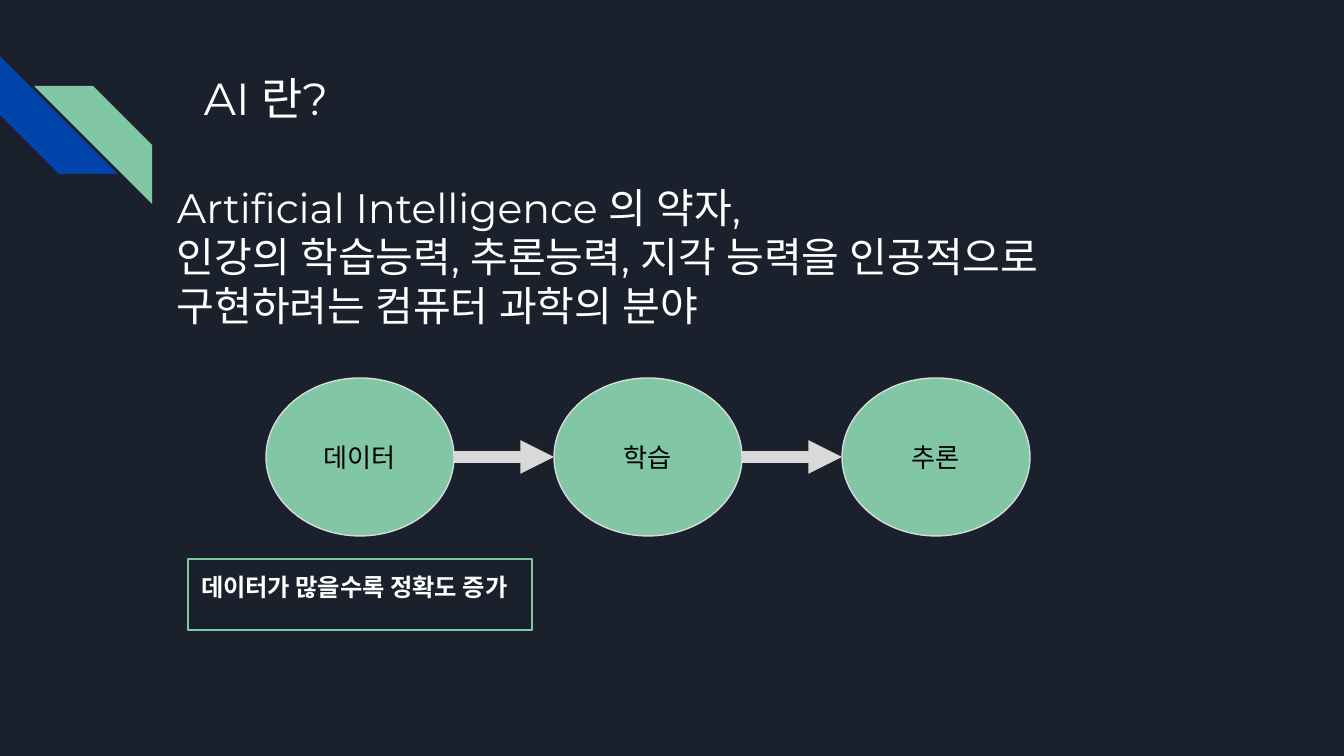
from lxml.etree import SubElement
from pptx import Presentation
from pptx.dml.color import RGBColor
from pptx.enum.shapes import MSO_CONNECTOR, MSO_SHAPE
from pptx.enum.text import MSO_ANCHOR, PP_ALIGN
from pptx.oxml.ns import qn
from pptx.util import Pt

NAVY, BLUE, GREEN = "1B212C", "0145AC", "82C7A5"
GREY, WHITE, BLACK = "D9D9D9", "FFFFFF", "000000"

STRIPES = [((0, 56), 270, BLUE), ((34, 86), 90, GREEN)]
STRIPE_SIZE = 118
TITLE = ["AI 란?"]
BODY = [
    "Artificial Intelligence 의 약자,",
    "인강의 학습능력, 추론능력, 지각 능력을 인공적으로 구현하려는 컴퓨터 과학의 분야",
]
STEPS = ["데이터", "학습", "추론"]
STEP_LEFT, STEP_TOP, STEP_WIDTH, STEP_HEIGHT, STEP_PITCH = 266, 378, 188, 158, 288
NOTE = ["데이터가 많을수록 정확도 증가"]

SCALE = 914400 / 134.4


def px(length):
    """Turn px into EMU."""
    return round(length * SCALE)


def color(value):
    """Turn a hex string into a colour."""
    return RGBColor.from_string(value)


def write(shape, lines, size, font_name, ink, bold=False,
          align=PP_ALIGN.LEFT, anchor=MSO_ANCHOR.TOP):
    """Fill the shape with one paragraph per line."""
    frame = shape.text_frame
    frame.word_wrap = True
    frame.vertical_anchor = anchor
    frame.margin_left = frame.margin_right = px(13)
    frame.margin_top = frame.margin_bottom = px(13)
    for index, line in enumerate(lines):
        paragraph = frame.add_paragraph() if index else frame.paragraphs[0]
        paragraph.alignment = align
        run = paragraph.add_run()
        run.text = line
        font = run.font
        font.size, font.bold, font.name = Pt(size), bold, font_name
        font.color.rgb = color(ink)
        SubElement(run._r.get_or_add_rPr(), qn("a:ea")).set("typeface", font_name)


def add_text(slide, box, lines, size):
    """Add a white Montserrat text box."""
    write(slide.shapes.add_textbox(*map(px, box)), lines, size, "Montserrat", WHITE)


def add_preset(slide, kind, box, fill=None, outline=None):
    """Add a flat preset shape."""
    shape = slide.shapes.add_shape(kind, *map(px, box))
    shape.shadow.inherit = False
    if fill:
        shape.fill.solid()
        shape.fill.fore_color.rgb = color(fill)
    else:
        shape.fill.background()
    if outline:
        shape.line.color.rgb = color(outline)
        shape.line.width = Pt(0.75)
    else:
        shape.line.fill.background()
    return shape


def add_arrow(slide, start, end, y):
    """Add a thick horizontal arrow."""
    arrow = slide.shapes.add_connector(
        MSO_CONNECTOR.STRAIGHT, px(start), px(y), px(end), px(y))
    arrow.line.color.rgb = color(GREY)
    arrow.line.width = Pt(6)
    SubElement(arrow.line._get_or_add_ln(), qn("a:tailEnd")).set("type", "triangle")
    SubElement(arrow._element.spPr, qn("a:effectLst"))


def main():
    """Build and save the slide."""
    presentation = Presentation()
    presentation.slide_width, presentation.slide_height = px(1344), px(756)
    slide = presentation.slides.add_slide(presentation.slide_layouts[6])
    slide.background.fill.solid()
    slide.background.fill.fore_color.rgb = color(NAVY)

    for corner, rotation, fill in STRIPES:
        stripe = add_preset(slide, MSO_SHAPE.DIAGONAL_STRIPE,
                            (*corner, STRIPE_SIZE, STRIPE_SIZE), fill)
        stripe.rotation = rotation

    add_text(slide, (191, 58, 1035, 134), TITLE, 24)
    add_text(slide, (164, 169, 1035, 427), BODY, 22)

    for index, step in enumerate(STEPS):
        left = STEP_LEFT + index * STEP_PITCH
        ellipse = add_preset(slide, MSO_SHAPE.OVAL,
                             (left, STEP_TOP, STEP_WIDTH, STEP_HEIGHT), GREEN, GREY)
        write(ellipse, [step], 14, "Lato", BLACK,
              align=PP_ALIGN.CENTER, anchor=MSO_ANCHOR.MIDDLE)
        if index:
            add_arrow(slide, left - STEP_PITCH + STEP_WIDTH, left,
                      STEP_TOP + STEP_HEIGHT / 2)

    note = add_preset(slide, MSO_SHAPE.RECTANGLE, (188, 559, 344, 71), outline=GREEN)
    write(note, NOTE, 13, "Lato", WHITE, bold=True)

    presentation.save("out.pptx")


if __name__ == "__main__":
    main()
